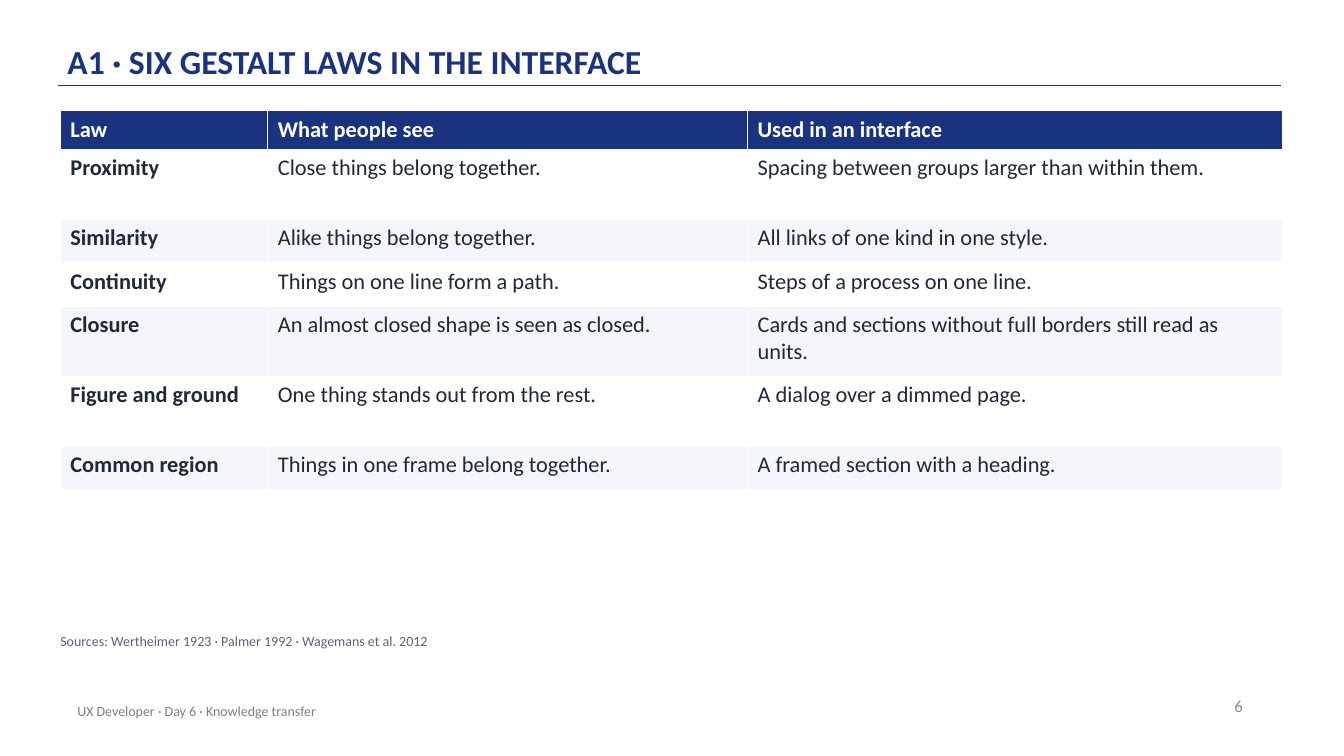
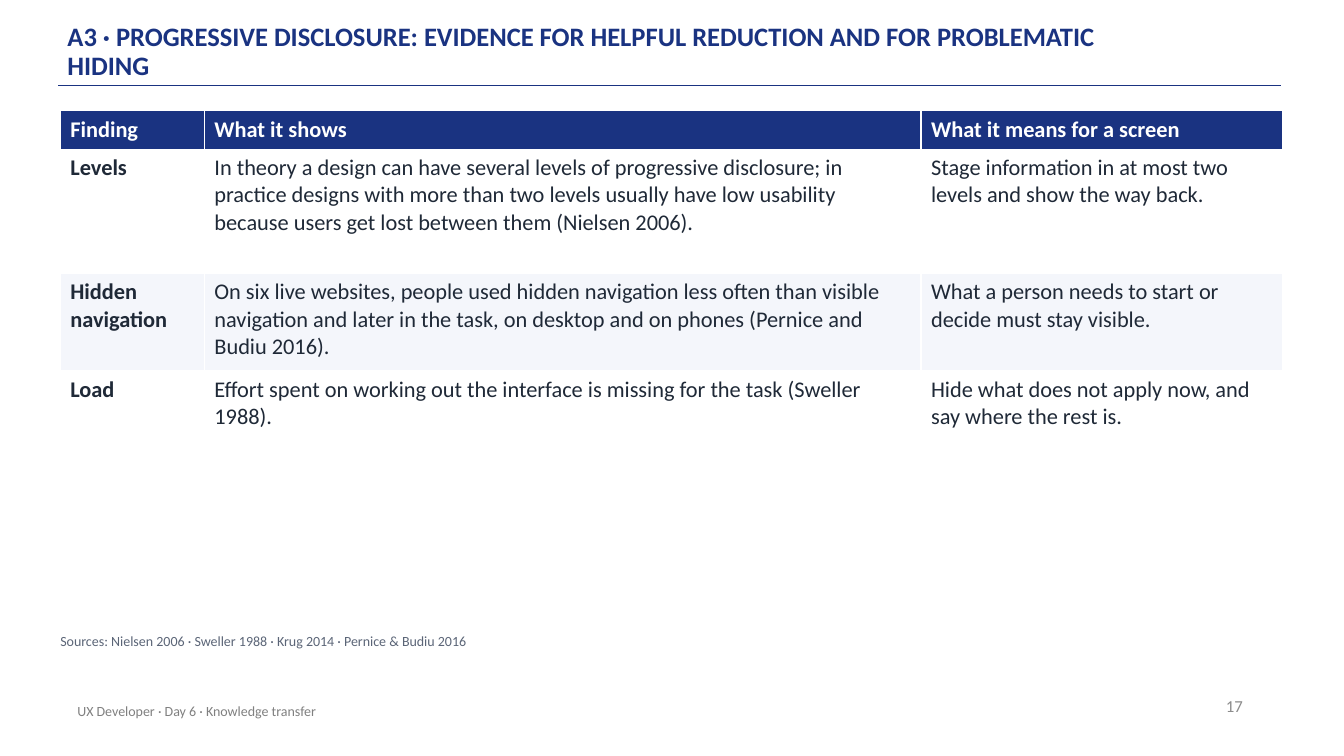
import dataclasses

import pptx
import pptx.dml.color
import pptx.enum.shapes
import pptx.enum.text
import pptx.oxml
import pptx.util

Cm = pptx.util.Cm
Pt = pptx.util.Pt
RGB = pptx.dml.color.RGBColor.from_string
ALIGN = pptx.enum.text.PP_ALIGN
ANCHOR = pptx.enum.text.MSO_ANCHOR


@dataclasses.dataclass(frozen=True)
class Theme:
    font: str = "Calibri"
    navy: str = "1A3381"
    ink: str = "1F2937"
    white: str = "FFFFFF"
    band: str = "F4F6FB"
    source: str = "5B6577"
    footer: str = "808080"
    number: str = "8C8C8C"
    title_size: int = 24
    long_title_size: int = 19
    table_size: int = 16
    number_size: int = 12
    small_size: int = 10


THEME = Theme()
FOOTER = "UX Developer · Day 6 · Knowledge transfer"
MARGIN = 1.52
HEADER_HEIGHT = 0.97
LINE_HEIGHT = 0.68
ROW_PADDING = 0.41

SLIDES = [
    {
        "title": "A1 · SIX GESTALT LAWS IN THE INTERFACE",
        "title_size": THEME.title_size,
        "number": 6,
        "widths": [5.23, 12.09, 13.49],
        "row_lines": [2, 1, 1, 2, 2, 1],
        "rows": [
            ["Law", "What people see", "Used in an interface"],
            ["Proximity", "Close things belong together.",
             "Spacing between groups larger than within them."],
            ["Similarity", "Alike things belong together.",
             "All links of one kind in one style."],
            ["Continuity", "Things on one line form a path.",
             "Steps of a process on one line."],
            ["Closure", "An almost closed shape is seen as closed.",
             "Cards and sections without full borders still read as units."],
            ["Figure and ground", "One thing stands out from the rest.",
             "A dialog over a dimmed page."],
            ["Common region", "Things in one frame belong together.",
             "A framed section with a heading."],
        ],
        "sources": "Sources: Wertheimer 1923 · Palmer 1992 · Wagemans et al. 2012",
    },
    {
        "title": "A3 · PROGRESSIVE DISCLOSURE: EVIDENCE FOR HELPFUL REDUCTION "
                 "AND FOR PROBLEMATIC HIDING",
        "title_size": THEME.long_title_size,
        "number": 17,
        "widths": [3.63, 18.06, 9.12],
        "row_lines": [4, 3, 2],
        "rows": [
            ["Finding", "What it shows", "What it means for a screen"],
            ["Levels",
             "In theory a design can have several levels of progressive disclosure; "
             "in practice designs with more than two levels usually have low "
             "usability because users get lost between them (Nielsen 2006).",
             "Stage information in at most two levels and show the way back."],
            ["Hidden navigation",
             "On six live websites, people used hidden navigation less often than "
             "visible navigation and later in the task, on desktop and on phones "
             "(Pernice and Budiu 2016).",
             "What a person needs to start or decide must stay visible."],
            ["Load",
             "Effort spent on working out the interface is missing for the task "
             "(Sweller 1988).",
             "Hide what does not apply now, and say where the rest is."],
        ],
        "sources": "Sources: Nielsen 2006 · Sweller 1988 · Krug 2014 · Pernice & Budiu 2016",
    },
]


def set_attributes(target, values):
    for name, value in values.items():
        setattr(target, name, value)


def write(tf, text, size, color, bold=False, **paragraph_format):
    """Fill a text frame with one formatted paragraph."""
    p = tf.paragraphs[0]
    set_attributes(p, paragraph_format)
    r = p.add_run()
    r.text = text
    set_attributes(r.font, {"name": THEME.font, "size": Pt(size), "bold": bold})
    r.font.color.rgb = RGB(color)


def add_title(s, text, size):
    sp = s.shapes.title
    set_attributes(sp, {"left": Cm(1.7), "top": Cm(0.3),
                        "width": Cm(27.94), "height": Cm(1.83)})
    set_attributes(sp.text_frame, {
        "margin_left": 0, "margin_right": 0,
        "margin_top": Cm(0.08), "margin_bottom": Cm(0.08),
        "word_wrap": True, "vertical_anchor": ANCHOR.BOTTOM,
        "auto_size": pptx.enum.text.MSO_AUTO_SIZE.NONE,
    })
    write(sp.text_frame, text, size, THEME.navy, bold=True,
          alignment=ALIGN.LEFT, line_spacing=0.9)


def add_title_rule(s):
    line = s.shapes.add_connector(pptx.enum.shapes.MSO_CONNECTOR.STRAIGHT,
                                  Cm(1.47), Cm(2.16), Cm(32.28), Cm(2.16))
    line.line.color.rgb = RGB(THEME.navy)
    line.line.width = Pt(1)
    line._element.spPr.append(pptx.oxml.parse_xml(
        '<a:effectLst xmlns:a="http://schemas.openxmlformats.org/drawingml/2006/main"/>'))


def add_text(s, box, text, size, color, frame_format, **paragraph_format):
    tf = s.shapes.add_textbox(*map(Cm, box)).text_frame
    set_attributes(tf, {"word_wrap": True, **frame_format})
    write(tf, text, size, color, **paragraph_format)


def add_footer(s, number):
    middle = {"vertical_anchor": ANCHOR.MIDDLE}
    add_text(s, (23.95, 17.27, 7.62, 1.02), str(number), THEME.number_size,
             THEME.number, middle, alignment=ALIGN.RIGHT)
    add_text(s, (1.7, 17.4, 17.02, 1.02), FOOTER, THEME.small_size,
             THEME.footer, middle)


def add_sources(s, text):
    margins = dict.fromkeys(
        ["margin_left", "margin_top", "margin_right", "margin_bottom"], 0)
    add_text(s, (MARGIN, 15.93, 30.73, 0.76), text, THEME.small_size,
             THEME.source, margins, space_after=Pt(6))


def add_banded_table(s, rows, widths, row_lines):
    """Add a table whose body rows are as high as their number of text lines."""
    heights = [HEADER_HEIGHT] + [ROW_PADDING + LINE_HEIGHT * n for n in row_lines]
    table = s.shapes.add_table(len(rows), len(widths), Cm(MARGIN), Cm(2.79),
                               Cm(sum(widths)), Cm(sum(heights))).table
    for column, width in zip(table.columns, widths):
        column.width = Cm(width)
    for i, (row, height, texts) in enumerate(zip(table.rows, heights, rows)):
        row.height = Cm(height)
        header = i == 0
        fill = THEME.navy if header else (THEME.white if i % 2 else THEME.band)
        for j, (cell, text) in enumerate(zip(row.cells, texts)):
            cell.fill.solid()
            cell.fill.fore_color.rgb = RGB(fill)
            write(cell.text_frame, text, THEME.table_size,
                  THEME.white if header else THEME.ink, bold=header or j == 0)


def add_table_slide(prs, content):
    s = prs.slides.add_slide(prs.slide_layouts.get_by_name("Title Only"))
    add_title_rule(s)
    add_title(s, content["title"], content["title_size"])
    add_footer(s, content["number"])
    add_banded_table(s, content["rows"], content["widths"], content["row_lines"])
    add_sources(s, content["sources"])


def main():
    prs = pptx.Presentation()
    set_attributes(prs, {"slide_width": Cm(33.87), "slide_height": Cm(19.05)})
    for content in SLIDES:
        add_table_slide(prs, content)
    prs.save("out.pptx")


if __name__ == "__main__":
    main()
